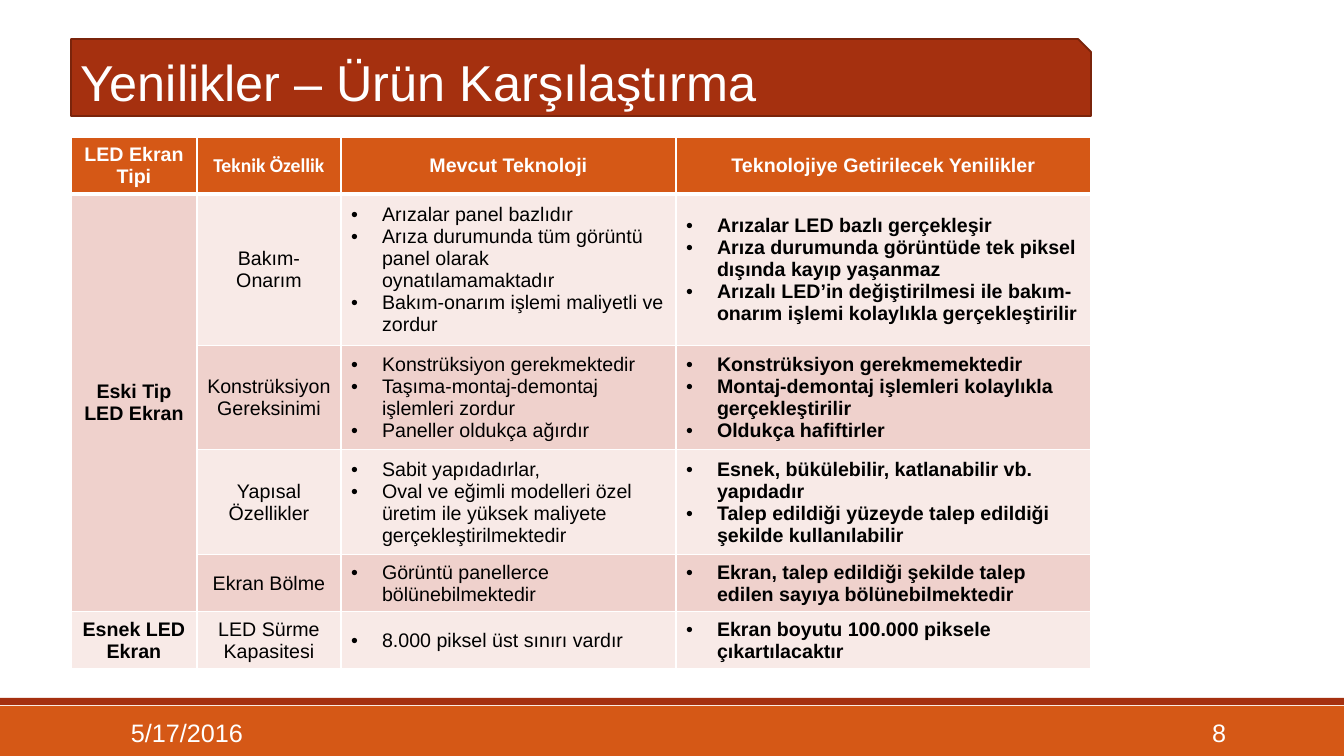
import pptx
import pptx.util
import pptx.dml.color
import pptx.enum.shapes
import pptx.enum.text
import pptx.oxml.ns
import lxml.etree

# Content
TITLE = "Yenilikler – Ürün Karşılaştırma"
DATE, PAGE = "5/17/2016", "8"
HEADINGS = ["LED Ekran Tipi", "Teknik Özellik", "Mevcut Teknoloji", "Teknolojiye Getirilecek Yenilikler"]
# Screen type (None continues the one above), feature, current technology, innovations
COMPARISON = [
    ("Eski Tip LED Ekran", "Bakım-Onarım",
     ["Arızalar panel bazlıdır",
      "Arıza durumunda tüm görüntü panel olarak oynatılamamaktadır",
      "Bakım-onarım işlemi maliyetli ve zordur"],
     ["Arızalar LED bazlı gerçekleşir",
      "Arıza durumunda görüntüde tek piksel dışında kayıp yaşanmaz",
      "Arızalı LED’in değiştirilmesi ile bakım-onarım işlemi kolaylıkla gerçekleştirilir"]),
    (None, "Konstrüksiyon Gereksinimi",
     ["Konstrüksiyon gerekmektedir",
      "Taşıma-montaj-demontaj işlemleri zordur",
      "Paneller oldukça ağırdır"],
     ["Konstrüksiyon gerekmemektedir",
      "Montaj-demontaj işlemleri kolaylıkla gerçekleştirilir",
      "Oldukça hafiftirler"]),
    (None, "Yapısal Özellikler",
     ["Sabit yapıdadırlar,",
      "Oval ve eğimli modelleri özel üretim ile yüksek maliyete gerçekleştirilmektedir"],
     ["Esnek, bükülebilir, katlanabilir vb. yapıdadır",
      "Talep edildiği yüzeyde talep edildiği şekilde kullanılabilir"]),
    (None, "Ekran Bölme",
     ["Görüntü panellerce bölünebilmektedir"],
     ["Ekran, talep edildiği şekilde talep edilen sayıya bölünebilmektedir"]),
    ("Esnek LED Ekran", "LED Sürme Kapasitesi",
     ["8.000 piksel üst sınırı vardır"],
     ["Ekran boyutu 100.000 piksele çıkartılacaktır"]),
]
COLUMN_WIDTHS = [126, 144, 335, 415]
ROW_HEIGHTS = [57, 151, 104, 105, 57, 57]

# Layout and colours
WIDTH, HEIGHT = 1344, 756
LEFT, TABLE_TOP = 71, 137
BULLET_INDENT = 31
WHITE, BLACK = "FFFFFF", "000000"
ORANGE, RUST, DARK_RUST = "D55816", "A5300F", "7A240B"
PALE, ROSE = "F8EAE7", "EFD1CC"
ALIGN = pptx.enum.text.PP_ALIGN
ANCHOR = pptx.enum.text.MSO_ANCHOR
SHAPE = pptx.enum.shapes.MSO_SHAPE


def px(length):
    return pptx.util.Emu(round(length * 914400 / 100.8))


def color(hex_string):
    return pptx.dml.color.RGBColor.from_string(hex_string)


def write(frame, lines, size, ink, align=ALIGN.LEFT, bold=False, font="Arial"):
    frame.text = "\n".join(lines)
    for paragraph in frame.paragraphs:
        paragraph.alignment = align
        for run in paragraph.runs:
            run.font.name = font
            run.font.size = pptx.util.Pt(size)
            run.font.bold = bold
            run.font.color.rgb = color(ink)


def add_bar(kind, left, top, width, height, fill):
    bar = slide.shapes.add_shape(kind, px(left), px(top), px(width), px(height))
    bar.shadow.inherit = False
    bar.fill.solid()
    bar.fill.fore_color.rgb = color(fill)
    bar.line.fill.background()
    return bar


def add_bullets(frame):
    for paragraph in frame.paragraphs:
        properties = paragraph._p.get_or_add_pPr()
        properties.set("marL", str(px(BULLET_INDENT)))
        properties.set("indent", str(-px(BULLET_INDENT)))
        for tag, name, value in [("a:buFont", "typeface", "Arial"), ("a:buChar", "char", "•")]:
            lxml.etree.SubElement(properties, pptx.oxml.ns.qn(tag)).set(name, value)


def paint_cell(cell, fill, bottom_border=1):
    properties = cell._tc.get_or_add_tcPr()
    for side, points in [("L", 1), ("R", 1), ("T", 1), ("B", bottom_border)]:
        border = lxml.etree.SubElement(properties, pptx.oxml.ns.qn("a:ln" + side))
        border.set("w", str(pptx.util.Pt(points)))
        solid = lxml.etree.SubElement(border, pptx.oxml.ns.qn("a:solidFill"))
        lxml.etree.SubElement(solid, pptx.oxml.ns.qn("a:srgbClr")).set("val", WHITE)
    cell.fill.solid()
    cell.fill.fore_color.rgb = color(fill)
    cell.vertical_anchor = ANCHOR.MIDDLE


presentation = pptx.Presentation()
presentation.slide_width, presentation.slide_height = px(WIDTH), px(HEIGHT)
slide = presentation.slides.add_slide(presentation.slide_layouts[6])

# Footer
add_bar(SHAPE.RECTANGLE, 0, 706, WIDTH, 50, ORANGE)
add_bar(SHAPE.RECTANGLE, 0, 698, WIDTH, 7, RUST)
for text, left, width, align in [(DATE, 121, 272, ALIGN.LEFT), (PAGE, 1092, 144, ALIGN.RIGHT)]:
    footer = slide.shapes.add_textbox(px(left), px(712), px(width), px(40)).text_frame
    footer.word_wrap = True
    footer.vertical_anchor = ANCHOR.MIDDLE
    write(footer, [text], 18, WHITE, align)

# Title
banner = add_bar(SHAPE.SNIP_1_RECTANGLE, LEFT, 39, sum(COLUMN_WIDTHS), 77, RUST)
banner.line.color.rgb = color(DARK_RUST)
banner.line.width = pptx.util.Pt(1.25)
banner.text_frame.vertical_anchor = ANCHOR.BOTTOM
banner.text_frame.margin_bottom = px(4)
write(banner.text_frame, [TITLE], 36, WHITE)

# Comparison table
comparison = slide.shapes.add_table(
    len(ROW_HEIGHTS), len(COLUMN_WIDTHS), px(LEFT), px(TABLE_TOP),
    px(sum(COLUMN_WIDTHS)), px(sum(ROW_HEIGHTS))).table
for column, width in zip(comparison.columns, COLUMN_WIDTHS):
    column.width = px(width)
for row, height in zip(comparison.rows, ROW_HEIGHTS):
    row.height = px(height)

for c, heading in enumerate(HEADINGS):
    cell = comparison.cell(0, c)
    paint_cell(cell, ORANGE, bottom_border=3)
    write(cell.text_frame, [heading], 14, WHITE, ALIGN.CENTER, True, "Calibri" if c == 1 else "Arial")

for r, (screen, feature, current, innovations) in enumerate(COMPARISON, start=1):
    band = PALE if r % 2 else ROSE
    screen_cell, feature_cell, current_cell, innovation_cell = comparison.rows[r].cells
    paint_cell(screen_cell, PALE if screen == COMPARISON[-1][0] else ROSE)
    if screen:
        write(screen_cell.text_frame, [screen], 14, BLACK, ALIGN.CENTER, True)
    paint_cell(feature_cell, band)
    write(feature_cell.text_frame, [feature], 14, BLACK, ALIGN.CENTER)
    for cell, points, bold in [(current_cell, current, False), (innovation_cell, innovations, True)]:
        paint_cell(cell, band)
        write(cell.text_frame, points, 14, BLACK, bold=bold)
        add_bullets(cell.text_frame)
comparison.cell(1, 0).merge(comparison.cell(len(COMPARISON) - 1, 0))

presentation.save("out.pptx")
